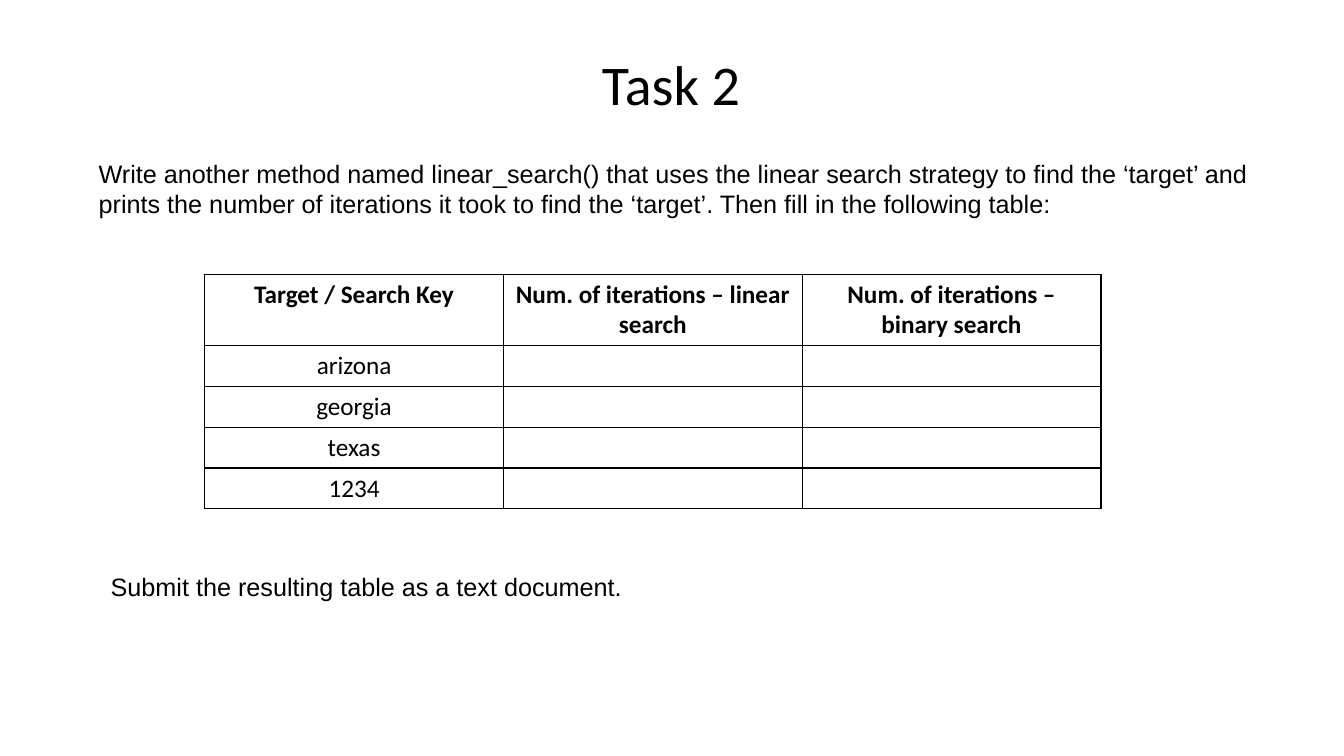
from dataclasses import dataclass

from lxml import etree
from pptx import Presentation
from pptx import util as u
from pptx.dml import color
from pptx.enum import text as t
from pptx.oxml import ns
from pptx.slide import Slide
from pptx.table import _Cell
from pptx.text.text import TextFrame

COLORS = {"ink": "000000", "paper": "FFFFFF"}
SLIDE_WIDTH, SLIDE_HEIGHT = u.Inches(13.33), u.Inches(7.5)
HEADER_ROW, BODY_ROW = 9.45, 5.4
HEADERS = [
    "Target / Search Key",
    "Num. of iterations – linear search",
    "Num. of iterations – binary search",
]
TARGETS = ["arizona", "georgia", "texas", "1234"]


@dataclass(frozen=True)
class Area:
    """Left, top, width and height in percent of the slide."""

    left: float
    top: float
    width: float
    height: float

    def lengths(self) -> tuple[int, int, int, int]:
        return (
            across(self.left),
            down(self.top),
            across(self.width),
            down(self.height),
        )


@dataclass(frozen=True)
class Passage:
    area: Area
    lines: tuple[str, ...]


TITLE_AREA = Area(44.04, 5.87, 11.85, 10.27)
TABLE_AREA = Area(15.23, 36.27, 66.69, HEADER_ROW + BODY_ROW * len(TARGETS))
PASSAGES = [
    Passage(
        Area(6.6, 20.27, 87.55, 9.47),
        (
            "Write another method named linear_search() that uses the linear "
            "search strategy to find the ‘target’ and",
            "prints the number of iterations it took to find the ‘target’. "
            "Then fill in the following table:",
        ),
    ),
    Passage(
        Area(7.5, 74.93, 41.49, 5.33),
        ("Submit the resulting table as a text document.",),
    ),
]


def across(percent: float) -> int:
    return u.Emu(round(SLIDE_WIDTH * percent / 100))


def down(percent: float) -> int:
    return u.Emu(round(SLIDE_HEIGHT * percent / 100))


def write(
    frame: TextFrame,
    *lines: str,
    font: str = "Arial",
    size: float = 18,
    bold: bool = False,
    align: t.PP_ALIGN = t.PP_ALIGN.LEFT,
) -> None:
    for index, line in enumerate(lines):
        para = frame.add_paragraph() if index else frame.paragraphs[0]
        para.alignment = align
        para.font.size = u.Pt(size)
        if line:
            span = para.add_run()
            span.text = line
            span.font.name = font
            span.font.size = u.Pt(size)
            span.font.bold = bold
            span.font.color.rgb = color.RGBColor.from_string(COLORS["ink"])


def fit_one_line(frame: TextFrame) -> None:
    frame.word_wrap = False
    frame.auto_size = t.MSO_AUTO_SIZE.SHAPE_TO_FIT_TEXT
    frame.vertical_anchor = t.MSO_ANCHOR.TOP


def add_title(page: Slide) -> None:
    title = page.shapes.title
    title.left, title.top, title.width, title.height = TITLE_AREA.lengths()
    fit_one_line(title.text_frame)
    write(title.text_frame, "Task 2", font="Calibri", size=40)


def add_passage(page: Slide, passage: Passage) -> None:
    box = page.shapes.add_textbox(*passage.area.lengths())
    fit_one_line(box.text_frame)
    write(box.text_frame, *passage.lines)


def outline(cell: _Cell) -> None:
    properties = cell._tc.get_or_add_tcPr()
    for index, side in enumerate(("lnL", "lnR", "lnT", "lnB")):
        line = etree.Element(ns.qn(f"a:{side}"), w=str(u.Pt(1)))
        fill = etree.SubElement(line, ns.qn("a:solidFill"))
        etree.SubElement(fill, ns.qn("a:srgbClr"), val=COLORS["ink"])
        properties.insert(index, line)


def add_results_table(page: Slide) -> None:
    rows = [HEADERS] + [[target, "", ""] for target in TARGETS]
    table = page.shapes.add_table(
        len(rows), len(HEADERS), *TABLE_AREA.lengths()
    ).table
    table.first_row = table.horz_banding = False
    for column in table.columns:
        column.width = across(TABLE_AREA.width / len(HEADERS))
    for row_index, values in enumerate(rows):
        is_header = row_index == 0
        table.rows[row_index].height = down(HEADER_ROW if is_header else BODY_ROW)
        for column_index, value in enumerate(values):
            cell = table.cell(row_index, column_index)
            cell.fill.background()
            outline(cell)
            write(
                cell.text_frame,
                value,
                font="Calibri",
                bold=is_header,
                align=t.PP_ALIGN.CENTER,
            )


def main() -> None:
    deck = Presentation()
    deck.slide_width, deck.slide_height = SLIDE_WIDTH, SLIDE_HEIGHT
    page = deck.slides.add_slide(deck.slide_layouts.get_by_name("Title Only"))
    page.background.fill.solid()
    page.background.fill.fore_color.rgb = color.RGBColor.from_string(COLORS["paper"])
    add_title(page)
    instructions, submission = PASSAGES
    add_passage(page, instructions)
    add_results_table(page)
    add_passage(page, submission)
    deck.save("out.pptx")


if __name__ == "__main__":
    main()
